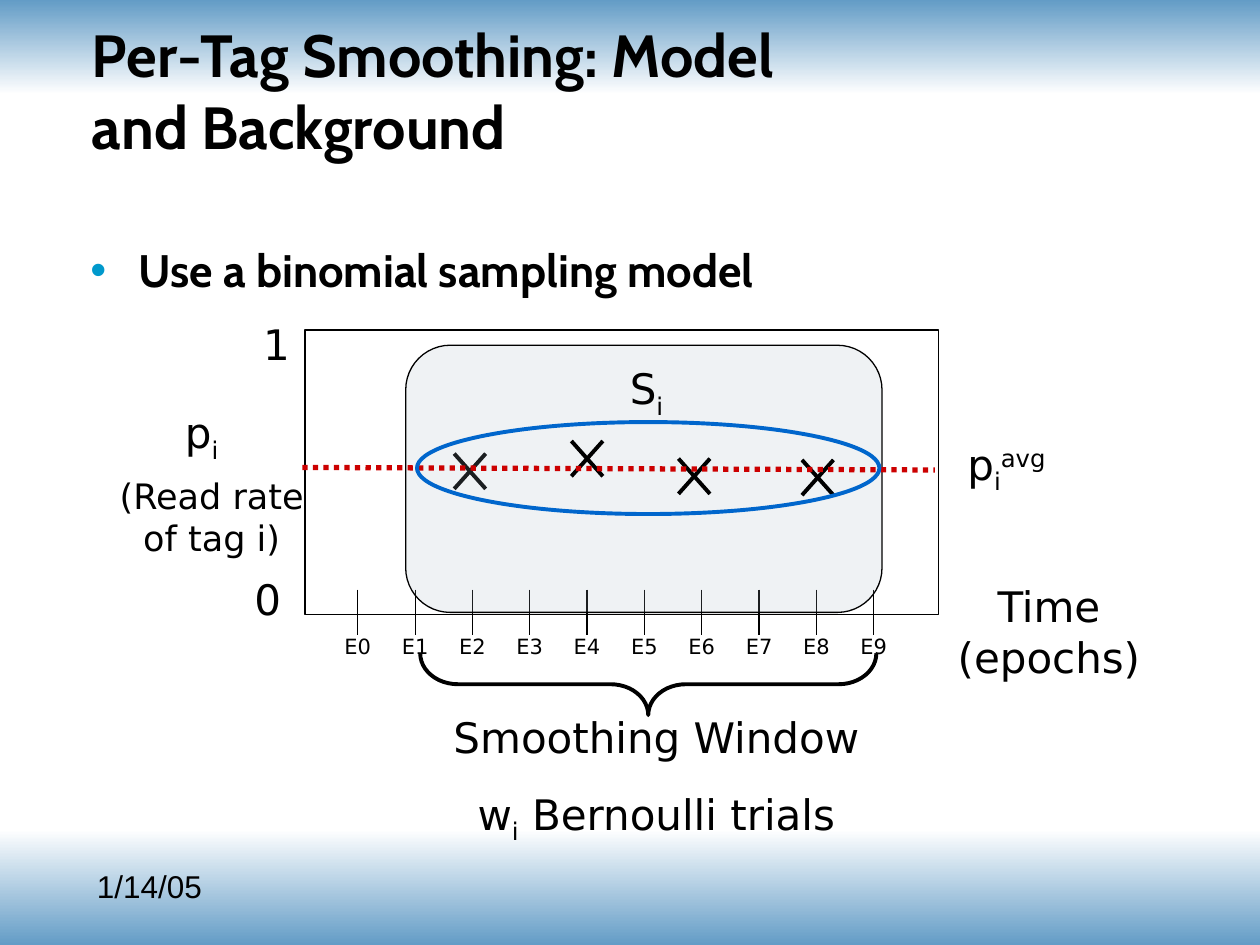
from dataclasses import dataclass
from typing import NamedTuple

import lxml.etree
import pptx
import pptx.dml.color
import pptx.enum.dml
import pptx.enum.shapes
import pptx.enum.text
import pptx.oxml.ns
import pptx.util

SHAPE = pptx.enum.shapes.MSO_SHAPE
ALIGN = pptx.enum.text.PP_ALIGN
ANCHOR = pptx.enum.text.MSO_ANCHOR
COLUMNS, ROWS = 100, 75
UNIT = pptx.util.Inches(0.1)


@dataclass(frozen=True)
class Theme:
    black: str = "000000"
    white: str = "FFFFFF"
    band: str = "639CC6"
    bullet: str = "0099CC"
    window: str = "A3B2C1"
    average: str = "CC0000"
    sample: str = "0066CC"
    heading_font: str = "Cabin"
    label_font: str = "DejaVu Sans"
    date_font: str = "Arial"
    title: float = 34
    body: float = 26
    label: float = 24
    note: float = 20
    date: float = 18
    epoch: float = 12
    thin: float = 0.75
    medium: float = 2.25
    thick: float = 3


class Area(NamedTuple):
    """Left, top, width and height in grid columns and rows."""
    left: float
    top: float
    width: float
    height: float


class Span(NamedTuple):
    text: str
    baseline: int = 0


class Label(NamedTuple):
    area: Area
    paragraphs: list[list[Span]]
    size: float
    align: ALIGN = ALIGN.LEFT
    wrap: bool = False


class Cross(NamedTuple):
    """Centre of a sampled read rate."""
    column: float
    row: float


THEME = Theme()
SUB, SUPER = -25, 30
EPOCHS = 10
FIRST_EPOCH, EPOCH_STEP = 28.4, 4.55
CROSS_WIDTH, CROSS_HEIGHT = 2.5, 2.8
EARLY_READ = Cross(37.3, 37.4)
LATER_READS = [Cross(64.9, 37.9), Cross(55.1, 37.8), Cross(46.6, 36.4)]

LABELS = [
    Label(Area(73.9, 45.6, 18.7, 9), [[Span("Time (epochs)")]], THEME.label, ALIGN.CENTER, True),
    Label(Area(13.7, 31.8, 5.4, 5.6), [[Span("p"), Span("i", SUB)]], THEME.label),
    Label(Area(19.9, 24.8, 5.4, 5), [[Span("1")]], THEME.label),
    Label(Area(19.2, 45, 5.1, 5), [[Span("0")]], THEME.label),
    Label(Area(33.3, 56, 37.6, 12.2),
          [[Span("Smoothing Window")],
           [Span("w"), Span("i", SUB), Span(" Bernoulli trials")]],
          THEME.label, ALIGN.CENTER, True),
    Label(Area(75.8, 34.3, 11.5, 5.6),
          [[Span("p"), Span("i", SUB), Span("avg", SUPER)]], THEME.label),
    Label(Area(49, 28.3, 7.4, 5.6), [[Span("S"), Span("i", SUB)]], THEME.label),
    Label(Area(7.9, 37.2, 17.8, 7.7), [[Span("(Read rate of tag i)")]],
          THEME.note, ALIGN.CENTER, True),
]


def grid(*lengths: float) -> list[int]:
    return [pptx.util.Emu(round(length * UNIT)) for length in lengths]


def rgb(color: str) -> pptx.dml.color.RGBColor:
    return pptx.dml.color.RGBColor.from_string(color)


def child(parent, tag: str, **attributes: str):
    return lxml.etree.SubElement(parent, pptx.oxml.ns.qn(tag), attributes)


def add_bullet(para, indent: float) -> None:
    properties = para._p.get_or_add_pPr()
    width = grid(indent)[0]
    properties.set("marL", str(width))
    properties.set("indent", str(-width))
    child(child(properties, "a:buClr"), "a:srgbClr", val=THEME.bullet)
    child(properties, "a:buFont", typeface=THEME.date_font)
    child(properties, "a:buChar", char="•")


def write_text(box, paragraphs: list[list[Span]], *, size: float,
               font: str = THEME.label_font, bold: bool = False,
               align: ALIGN = ALIGN.LEFT, anchor: ANCHOR = ANCHOR.TOP,
               wrap: bool = True, bullet_indent: float = 0,
               line_spacing: float = 1.0, gap: float = 15) -> None:
    frame = box.text_frame
    frame.word_wrap = wrap
    frame.auto_size = pptx.enum.text.MSO_AUTO_SIZE.NONE
    frame.vertical_anchor = anchor
    for number, spans in enumerate(paragraphs):
        para = frame.add_paragraph() if number else frame.paragraphs[0]
        if bullet_indent:
            add_bullet(para, bullet_indent)
        para.alignment = align
        para.line_spacing = line_spacing
        para.space_before = pptx.util.Pt(gap if number else 0)
        for span in spans:
            run = para.add_run()
            run.text = span.text
            run.font.size = pptx.util.Pt(size)
            run.font.name = font
            run.font.bold = bold
            run.font.color.rgb = rgb(THEME.black)
            if span.baseline:
                run._r.get_or_add_rPr().set("baseline", str(span.baseline * 1000))


def add_band(page, area: Area, angle: float) -> None:
    """Put a white-to-blue band behind the title."""
    band = page.shapes.add_shape(SHAPE.RECTANGLE, *grid(*area))
    band.shadow.inherit = False
    band.line.fill.background()
    band.fill.gradient()
    band.fill.gradient_angle = angle
    for stop, color in zip(band.fill.gradient_stops, (THEME.white, THEME.band)):
        stop.color.rgb = rgb(color)
    page.shapes.title.element.addprevious(band.element)


def add_outline(page, kind: SHAPE, area: Area, *, color: str = THEME.black,
                width: float = THEME.thin):
    shape = page.shapes.add_shape(kind, *grid(*area))
    shape.shadow.inherit = False
    shape.fill.background()
    shape.line.color.rgb = rgb(color)
    shape.line.width = pptx.util.Pt(width)
    return shape


def add_line(shapes, start: tuple[float, float], end: tuple[float, float], *,
             color: str = THEME.black, width: float = THEME.thin):
    line = shapes.add_connector(pptx.enum.shapes.MSO_CONNECTOR.STRAIGHT,
                                *grid(*start, *end))
    line.line.color.rgb = rgb(color)
    line.line.width = pptx.util.Pt(width)
    child(line.element.spPr, "a:effectLst")
    return line


def add_cross(page, cross: Cross) -> None:
    shapes = page.shapes.add_group_shape().shapes
    left, right = (cross.column + side * CROSS_WIDTH / 2 for side in (-1, 1))
    top, bottom = (cross.row + side * CROSS_HEIGHT / 2 for side in (-1, 1))
    add_line(shapes, (left, top), (right, bottom), width=THEME.medium)
    add_line(shapes, (right, top), (left, bottom), width=THEME.medium)


def add_window(page) -> None:
    window = add_outline(page, SHAPE.ROUNDED_RECTANGLE, Area(32.2, 27.4, 37.8, 21.2))
    window.fill.solid()
    window.fill.fore_color.rgb = rgb(THEME.window)
    color = window.element.spPr.find(".//" + pptx.oxml.ns.qn("a:srgbClr"))
    child(color, "a:alpha", val="17000")


def add_diagram(page) -> None:
    add_outline(page, SHAPE.RECTANGLE, Area(24.2, 26.2, 50.3, 22.6))
    add_cross(page, EARLY_READ)
    centers = [FIRST_EPOCH + EPOCH_STEP * number for number in range(EPOCHS)]
    for center in centers:
        add_line(page.shapes, (center, 46.8), (center, 50.4))
    add_window(page)
    for cross in LATER_READS:
        add_cross(page, cross)
    average = add_line(page.shapes, (24, 37.1), (74.2, 37.3),
                       color=THEME.average, width=THEME.thick)
    average.line.dash_style = pptx.enum.dml.MSO_LINE.ROUND_DOT
    brace = add_outline(page, SHAPE.LEFT_BRACE, Area(49, 36.2, 4.9, 36.2), width=THEME.medium)
    brace.rotation = 270
    brace.adjustments[0] = 0.61
    add_outline(page, SHAPE.OVAL, Area(33.1, 33.5, 36.7, 7.3),
                color=THEME.sample, width=THEME.medium)
    epochs = [Label(Area(center - 2, 49.8, 4, 3), [[Span(f"E{number}")]],
                    THEME.epoch, ALIGN.CENTER) for number, center in enumerate(centers)]
    for label in LABELS + epochs:
        write_text(page.shapes.add_textbox(*grid(*label.area)), label.paragraphs,
                   size=label.size, align=label.align, wrap=label.wrap)


def main() -> None:
    deck = pptx.Presentation()
    deck.slide_width, deck.slide_height = grid(COLUMNS, ROWS)
    page = deck.slides.add_slide(deck.slide_layouts[5])
    add_band(page, Area(0, 0, COLUMNS, 7.5), 90)
    add_band(page, Area(0, 65.8, COLUMNS, 9.2), 270)
    title = page.shapes.title
    title.left, title.top, title.width, title.height = grid(6.3, 3.3, 63.7, 10)
    write_text(title, [[Span("Per-Tag Smoothing: Model and Background")]], size=THEME.title,
               font=THEME.heading_font, bold=True, anchor=ANCHOR.BOTTOM)
    write_text(page.shapes.add_textbox(*grid(6.2, 19.2, 88, 5.2)),
               [[Span("Use a binomial sampling model")]], size=THEME.body,
               font=THEME.heading_font, bold=True, bullet_indent=3.8, line_spacing=0.9)
    add_diagram(page)
    write_text(page.shapes.add_textbox(*grid(6.7, 68.3, 21.7, 5.2)),
               [[Span("1/14/05")]], size=THEME.date, font=THEME.date_font)
    deck.save("out.pptx")


if __name__ == "__main__":
    main()
